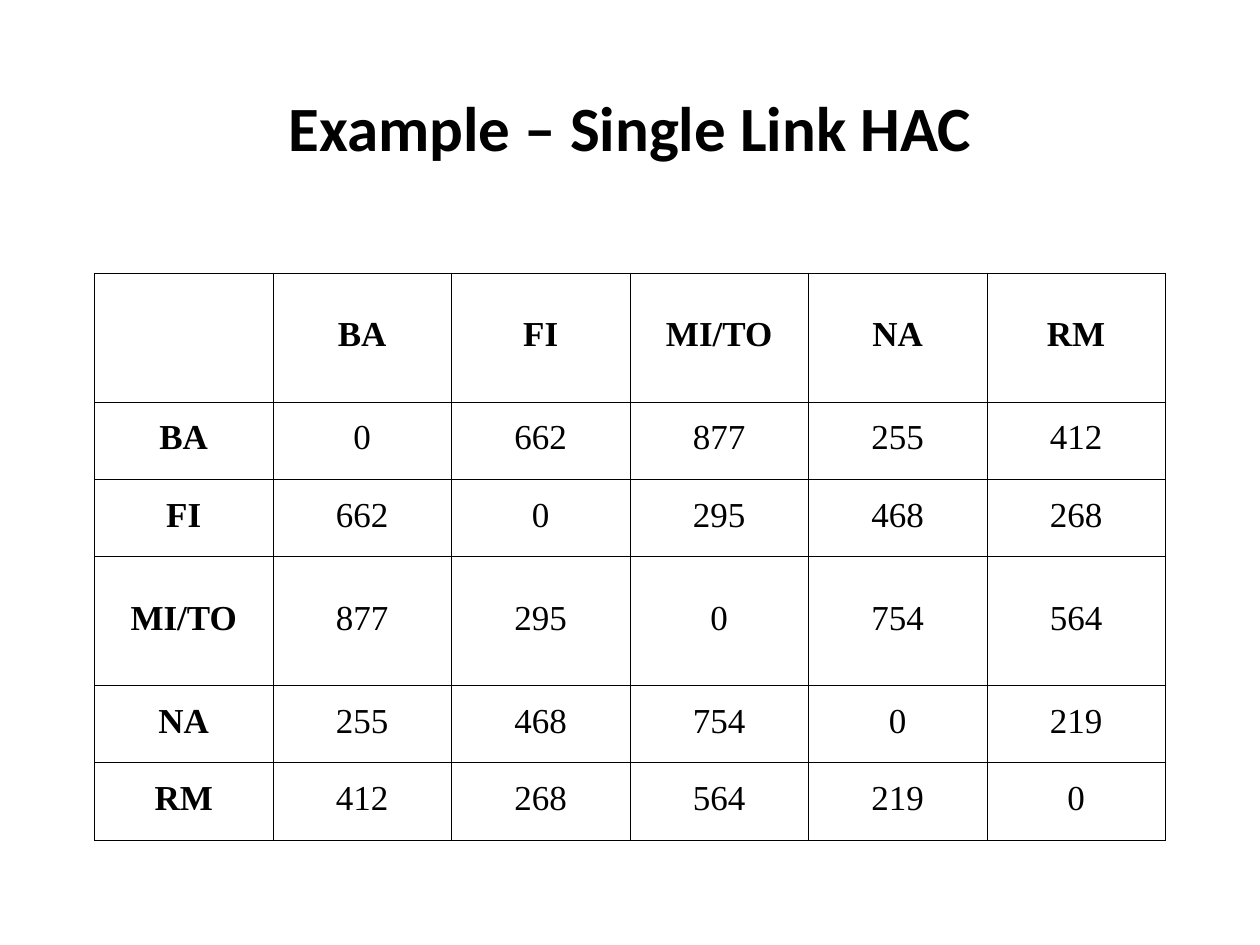
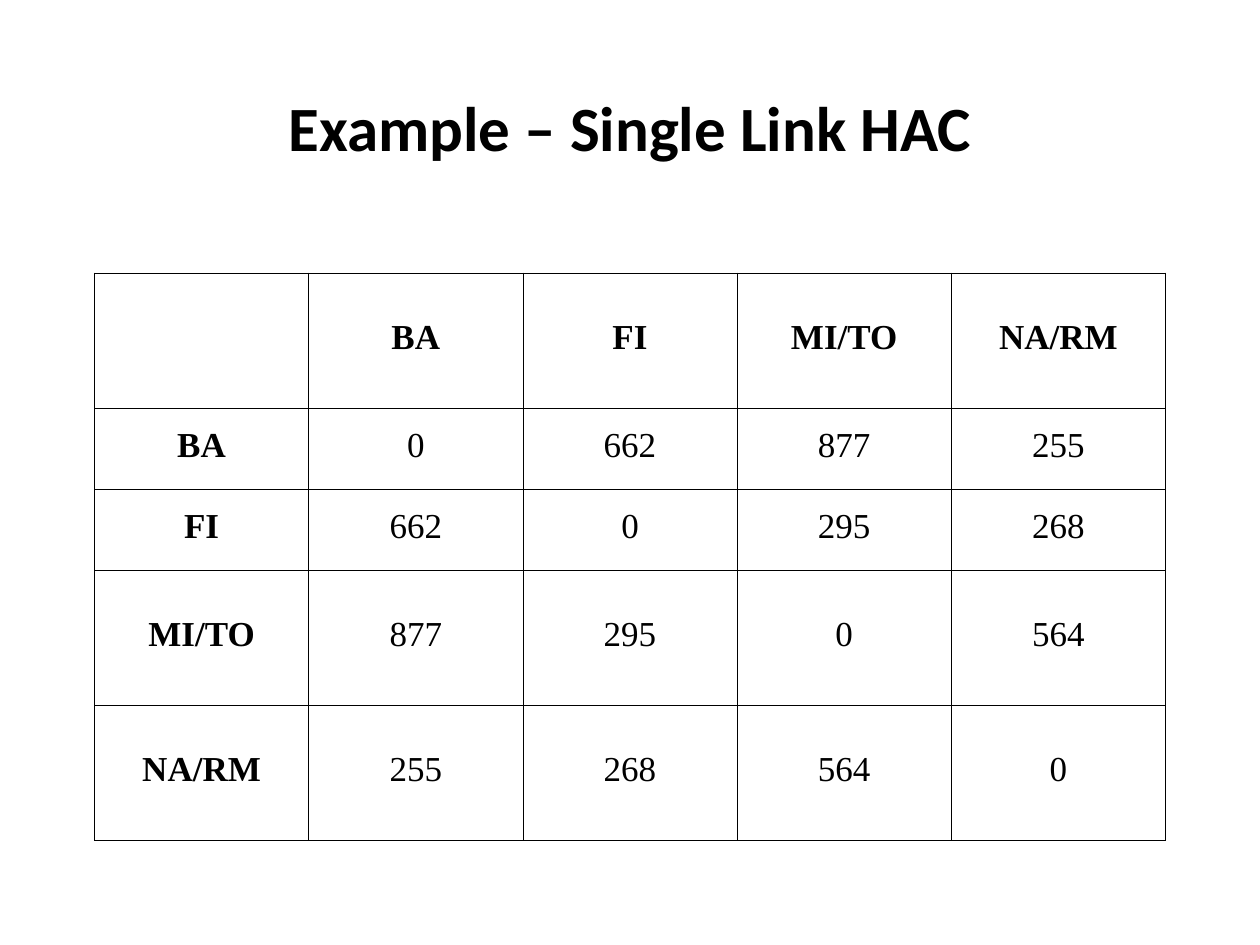
from dataclasses import dataclass

from lxml.etree import SubElement
from pptx import Presentation
from pptx.dml.color import RGBColor
from pptx.enum.text import MSO_ANCHOR as Anchor, MSO_AUTO_SIZE as AutoSize, PP_ALIGN as Align
from pptx.oxml.ns import qn
from pptx.util import Emu, Pt

EMU_PER_PX = 9525
TITLE_ONLY = 5


def px(n: int) -> Emu:
    """Turn whole pixels (96 to the inch) into EMU."""
    return Emu(n * EMU_PER_PX)


@dataclass(frozen=True)
class Theme:
    """Colours, fonts and type sizes of the deck."""
    ink: str = "000000"
    paper: str = "FFFFFF"
    title_font: str = "Calibri"
    title_size: float = 36
    cell_font: str = "Times New Roman"
    cell_size: float = 20
    cell_spacing: float = 0.8
    border_width: float = 0.34


@dataclass(frozen=True)
class Box:
    """A rectangle in pixels."""
    left: int
    top: int
    width: int
    height: int

    def emu(self) -> tuple[Emu, Emu, Emu, Emu]:
        """Return the rectangle in EMU."""
        return px(self.left), px(self.top), px(self.width), px(self.height)


@dataclass(frozen=True)
class DistanceSlide:
    """One clustering step: its clusters and their distances."""
    title: str
    clusters: list[str]
    distances: list[list[int]]


THEME = Theme()
TITLE_BOX = Box(72, 64, 816, 64)
TABLE_BOX = Box(72, 208, 816, 432)
HANGING = px(36)
TALL, SHORT = 5, 3
TITLE = "Example – Single Link HAC"

STEPS = [
    DistanceSlide(TITLE, ["BA", "FI", "MI/TO", "NA", "RM"], [
        [0, 662, 877, 255, 412],
        [662, 0, 295, 468, 268],
        [877, 295, 0, 754, 564],
        [255, 468, 754, 0, 219],
        [412, 268, 564, 219, 0],
    ]),
    DistanceSlide(TITLE, ["BA", "FI", "MI/TO", "NA/RM"], [
        [0, 662, 877, 255],
        [662, 0, 295, 268],
        [877, 295, 0, 564],
        [255, 268, 564, 0],
    ]),
]


def add_run(p, text: str, font: str, size: float, bold: bool) -> None:
    """Add one centred run in the ink colour."""
    p.alignment = Align.CENTER
    r = p.add_run()
    r.text = text
    r.font.name = font
    r.font.size = Pt(size)
    r.font.bold = bold
    r.font.color.rgb = RGBColor.from_string(THEME.ink)


def set_title(s, text: str) -> None:
    """Place and fill the title placeholder."""
    sp = s.shapes.title
    sp.left, sp.top, sp.width, sp.height = TITLE_BOX.emu()
    tf = sp.text_frame
    tf.word_wrap = True
    tf.auto_size = AutoSize.NONE
    tf.vertical_anchor = Anchor.MIDDLE
    add_run(tf.paragraphs[0], text, THEME.title_font, THEME.title_size, True)


def set_borders(cell) -> None:
    """Draw a thin line on all four sides of a cell."""
    tc_pr = cell._tc.get_or_add_tcPr()
    for i, side in enumerate(("a:lnL", "a:lnR", "a:lnT", "a:lnB")):
        ln = SubElement(tc_pr, qn(side), w=str(Pt(THEME.border_width)))
        fill = SubElement(ln, qn("a:solidFill"))
        SubElement(fill, qn("a:srgbClr"), val=THEME.ink)
        tc_pr.insert(i, ln)


def fill_cell(cell, text: str, bold: bool) -> None:
    """Format a cell and write its text, if any."""
    cell.fill.background()
    set_borders(cell)
    if not text:
        return
    cell.vertical_anchor = Anchor.MIDDLE
    p = cell.text_frame.paragraphs[0]
    p.line_spacing = THEME.cell_spacing
    p_pr = p._p.get_or_add_pPr()
    p_pr.set("marL", str(HANGING))
    p_pr.set("indent", str(-HANGING))
    add_run(p, text, THEME.cell_font, THEME.cell_size, bold)


def add_distance_table(s, step: DistanceSlide) -> None:
    """Add the distance matrix, with taller rows for the header and merged clusters."""
    rows = [["", *step.clusters]]
    rows += [[name, *map(str, row)] for name, row in zip(step.clusters, step.distances)]
    count = len(rows)
    table = s.shapes.add_table(count, count, *TABLE_BOX.emu()).table
    table.first_row = table.horz_banding = False
    weights = [TALL] + [TALL if "/" in name else SHORT for name in step.clusters]
    unit = px(TABLE_BOX.height) / sum(weights)
    for i, (weight, row) in enumerate(zip(weights, rows)):
        table.rows[i].height = Emu(round(unit * weight))
        table.columns[i].width = Emu(px(TABLE_BOX.width) // count)
        for j, text in enumerate(row):
            fill_cell(table.cell(i, j), text, i == 0 or j == 0)


def main() -> None:
    """Build and save the deck."""
    prs = Presentation()
    prs.slide_width, prs.slide_height = px(960), px(720)
    background = prs.slide_master.background.fill
    background.solid()
    background.fore_color.rgb = RGBColor.from_string(THEME.paper)
    for step in STEPS:
        s = prs.slides.add_slide(prs.slide_layouts[TITLE_ONLY])
        set_title(s, step.title)
        add_distance_table(s, step)
    prs.save("out.pptx")


if __name__ == "__main__":
    main()
